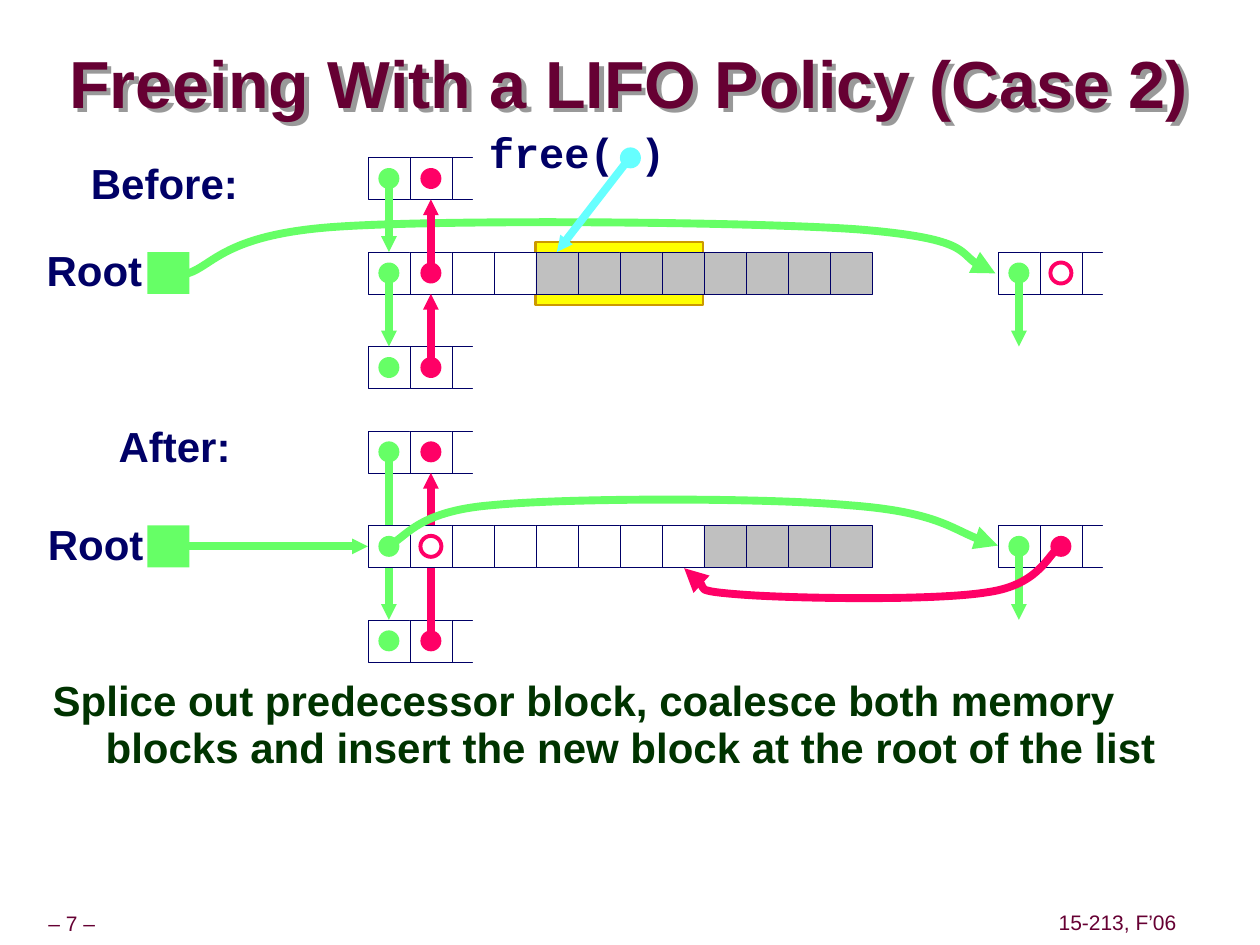
"""Build the slide on freeing a block under a LIFO policy, case 2."""
import pptx
import pptx.util
import pptx.dml.color
import pptx.enum.shapes
import pptx.enum.text
import pptx.oxml
import pptx.oxml.ns

Inches, Pt = pptx.util.Inches, pptx.util.Pt
RGB = pptx.dml.color.RGBColor.from_string
KIND = pptx.enum.shapes.MSO_SHAPE
RECT, OVAL = KIND.RECTANGLE, KIND.OVAL
ALIGN, ANCHOR = pptx.enum.text.PP_ALIGN, pptx.enum.text.MSO_ANCHOR
NS = pptx.oxml.ns.nsdecls("a")
HUE = {
    "white": "FFFFFF", "gray": "C0C0C0", "yellow": "FFFF00", "gold": "CC9900",
    "navy": "000066", "wine": "660033", "forest": "003300",
    "green": "66FF66", "pink": "FF0066", "cyan": "66FFFF",
}

deck = pptx.Presentation()
deck.slide_width, deck.slide_height = Inches(10), Inches(7.5)
slide = deck.slides.add_slide(deck.slide_layouts[5])
shapes = slide.shapes


def box(host, kind, x, y, wide, high, fill=None, line=None, thick=0.25):
    shape = host.add_shape(kind, Inches(x), Inches(y), Inches(wide), Inches(high))
    shape.shadow.inherit = False
    if fill:
        shape.fill.solid()
        shape.fill.fore_color.rgb = RGB(HUE[fill])
    else:
        shape.fill.background()
    if line:
        shape.line.color.rgb = RGB(HUE[line])
        shape.line.width = Pt(thick)
    else:
        shape.line.fill.background()
    return shape


def link(points, hue, goal=None, side=0):
    spots = [(Inches(x), Inches(y)) for x, y in points]
    if len(spots) == 2:
        shape = shapes.add_connector(
            pptx.enum.shapes.MSO_CONNECTOR.STRAIGHT, *spots[0], *spots[1])
        if goal is not None:
            shape.end_connect(goal, side)
        head = "sm"
    else:
        form = shapes.build_freeform(*spots[0], scale=1.0)
        form.add_line_segments(spots[1:], close=False)
        shape = form.convert_to_shape()
        shape.shadow.inherit = False
        shape.fill.background()
        steps = shape._element.xpath(".//a:lnTo")
        for i in range(0, len(steps), 3):
            steps[i].tag = pptx.oxml.ns.qn("a:cubicBezTo")
            for step in steps[i + 1:i + 3]:
                steps[i].append(step[0])
                step.getparent().remove(step)
        head = "med"
    shape.line.color.rgb = RGB(HUE[hue])
    shape.line.width = Pt(4.5)
    shape.line._get_or_add_ln().append(pptx.oxml.parse_xml(
        f'<a:tailEnd {NS} type="triangle" w="{head}" len="{head}"/>'))
    if len(spots) == 2:
        shape._element.spPr.append(pptx.oxml.parse_xml(f"<a:effectLst {NS}/>"))


title = shapes.title
title.left, title.top = Inches(0.23), Inches(0.27)
title.width, title.height = Inches(9.53), Inches(0.85)
title.fill.background()
title._element.spPr.append(pptx.oxml.parse_xml(
    f'<a:effectLst {NS}><a:outerShdw dist="{Inches(0.05)}" dir="2700000">'
    '<a:srgbClr val="999999"/></a:outerShdw></a:effectLst>'))
frame = title.text_frame
frame.text = "Freeing With a LIFO Policy (Case 2)"
frame.word_wrap = True
frame.vertical_anchor = ANCHOR.MIDDLE
frame.margin_left = frame.margin_right = frame.margin_top = frame.margin_bottom = 0
para = frame.paragraphs[0]
para.alignment, para.line_spacing = ALIGN.CENTER, 0.87
para.font.name, para.font.size, para.font.bold = "Arial", Pt(38), True
para.font.color.rgb = RGB(HUE["wine"])

side = 1 / 3
left = 2.92
tops = [1.25, 2, 2.75, 3.42, 4.17, 4.92]
mids = [top + side / 2 for top in tops]
next_x, prev_x, far_x = [left + (col + 0.5) * side for col in (0, 1, 15)]
cells = {}

box(shapes, RECT, 4.25, 1.92, 1.33, 0.5, "yellow", "gold", 1.5)
for col, row in [(0, 0), (0, 2), (0, 3), (0, 5), (15, 1), (15, 4)]:
    group = shapes.add_group_shape().shapes
    x, y = left + col * side, tops[row]
    for i in range(3):
        cells[col + i, row] = box(
            group, RECT, x + i * side, y, side, side, "white", "navy")
    box(group, RECT, x + 2.5 * side, y - 0.08, side, 0.5, "white")

link([(prev_x, mids[5]), (prev_x, 3.75)], "pink", cells[1, 3], 2)
link([(next_x, mids[3]), (next_x, 4.92)], "green", cells[0, 5], 0)
link([(1.49, 2.17), (1.69, 2.11), (1.78, 1.86), (2.67, 1.8), (3.55, 1.74),
      (5.93, 1.76), (6.8, 1.82), (7.67, 1.89), (7.67, 2.1), (7.9, 2.17)], "green")

for row, free in [(1, 4), (4, 8)]:
    box(shapes, RECT, 1.17, tops[row], side, side, "green")
    for col in range(12):
        cells[col, row] = box(
            shapes, RECT, left + col * side, tops[row], side, side,
            "white" if col < free else "gray", "navy")

dots = [(0, row, "green") for row in range(6)]
dots += [(1, row, "pink") for row in (0, 1, 2, 3, 5)]
dots += [(15, 1, "green"), (15, 4, "green"), (16, 4, "pink")]
for col, row, hue in dots:
    box(shapes, OVAL, left + (col + 0.25) * side, tops[row] + side / 4,
        side / 2, side / 2, hue)
for col, row in [(16, 1), (1, 4)]:
    box(shapes, OVAL, left + (col + 0.25) * side, tops[row] + side / 4,
        side / 2, side / 2, None, "pink", 2.25)

for row in (0, 1):
    link([(next_x, mids[row]), (next_x, tops[row + 1])], "green",
         cells[0, row + 1], 0)
    link([(prev_x, mids[row + 1]), (prev_x, tops[row] + side)], "pink",
         cells[1, row], 2)
for row in (1, 4):
    link([(far_x, mids[row]), (far_x, tops[row + 1])], "green")
link([(1.42, mids[4]), (left, mids[4])], "green", cells[0, 4], 1)
link([(3.08, 4.33), (3.22, 4.28), (3.29, 4.06), (3.9, 4.01), (4.51, 3.95),
      (6.08, 3.95), (6.74, 4.01), (7.41, 4.06), (7.67, 4.27), (7.92, 4.33)], "green")
link([(8.42, 4.33), (8.32, 4.39), (8.26, 4.64), (7.84, 4.7), (7.42, 4.77),
      (6.29, 4.75), (5.89, 4.72), (5.48, 4.69), (5.53, 4.55), (5.43, 4.51)], "pink")

labels = [
    ("free( )", 3.83, 1, 1.5, 0.46, "Courier New", 24, "navy"),
    ("Root", 0.32, 1.94, 0.86, 0.46, "Arial", 24, "navy"),
    ("Root", 0.33, 4.11, 0.86, 0.46, "Arial", 24, "navy"),
    ("Before:", 0.67, 1.25, 1.27, 0.46, "Arial", 24, "navy"),
    ("After:", 0.89, 3.33, 0.99, 0.46, "Arial", 24, "navy"),
    ("– 7 –", 0, 7.2, 1.14, 0.28, "Arial", 12, "wine"),
    ("15-213, F’06", 8.35, 7.19, 1.04, 0.28, "Arial", 12, "wine"),
    ("Splice out predecessor block, coalesce both memory blocks and insert "
     "the new block at the root of the list",
     0.32, 5.33, 9.09, 1.71, "Arial", 24, "forest"),
]
for text, x, y, wide, high, face, size, hue in labels:
    frame = shapes.add_textbox(
        Inches(x), Inches(y), Inches(wide), Inches(high)).text_frame
    frame.text = text
    para = frame.paragraphs[0]
    frame.margin_top = frame.margin_bottom = Inches(0.05)
    if hue == "forest":
        frame.word_wrap = True
        para.line_spacing = 0.95
        props = para._p.get_or_add_pPr()
        props.set("marL", str(Inches(0.42)))
        props.set("indent", str(Inches(-0.42)))
    else:
        frame.word_wrap = False
        frame.margin_left = frame.margin_right = Inches(0.05)
        para.alignment, para.line_spacing = ALIGN.CENTER, 0.9
    if hue == "wine":
        frame.vertical_anchor = ANCHOR.MIDDLE
    para.font.name, para.font.size = face, Pt(size)
    para.font.bold = size > 12
    para.font.color.rgb = RGB(HUE[hue])

box(shapes, OVAL, 4.92, 1.17, side / 2, side / 2, "cyan")
link([(5, 1.25), (4.42, 2)], "cyan", cells[4, 1], 0)

deck.save("out.pptx")
